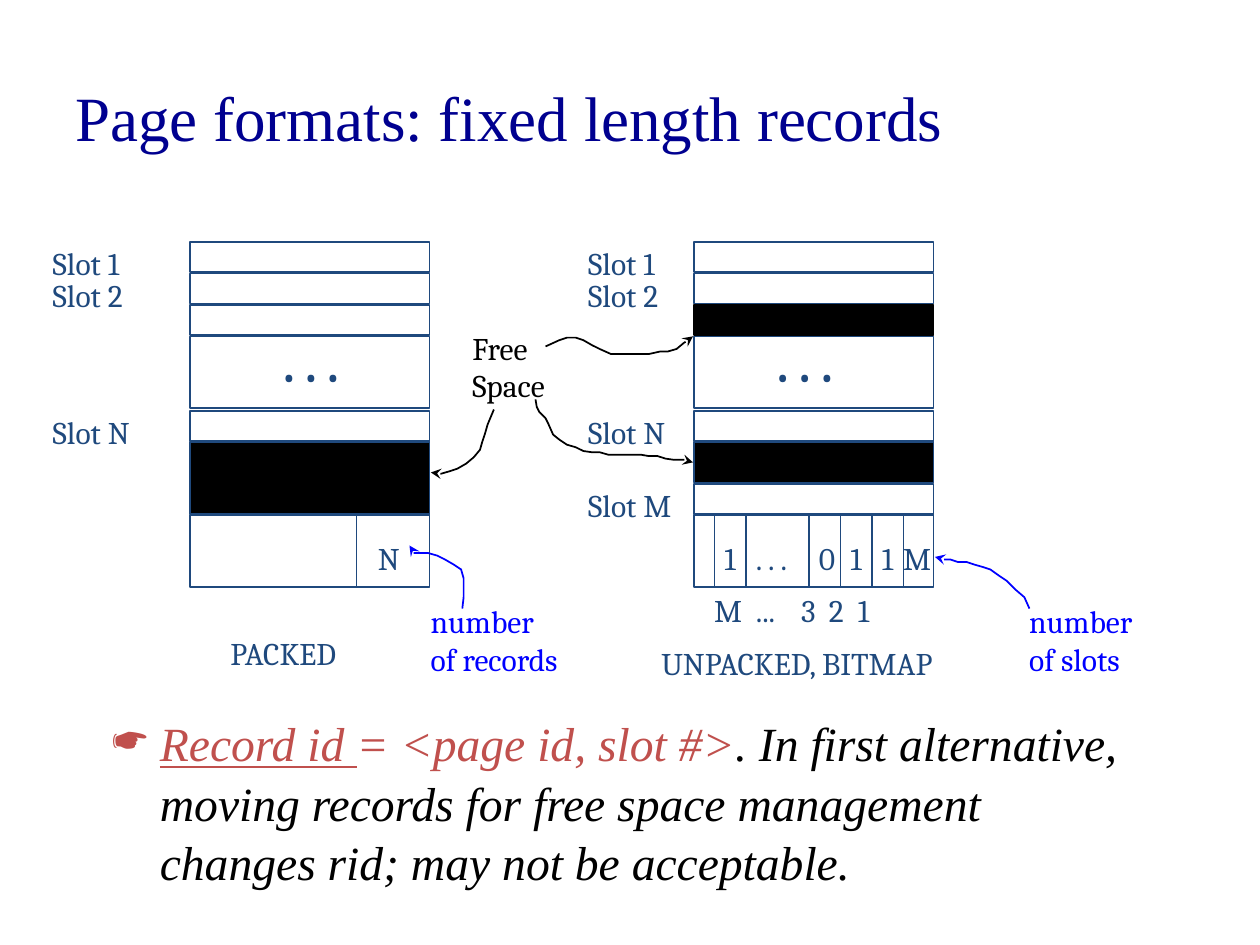
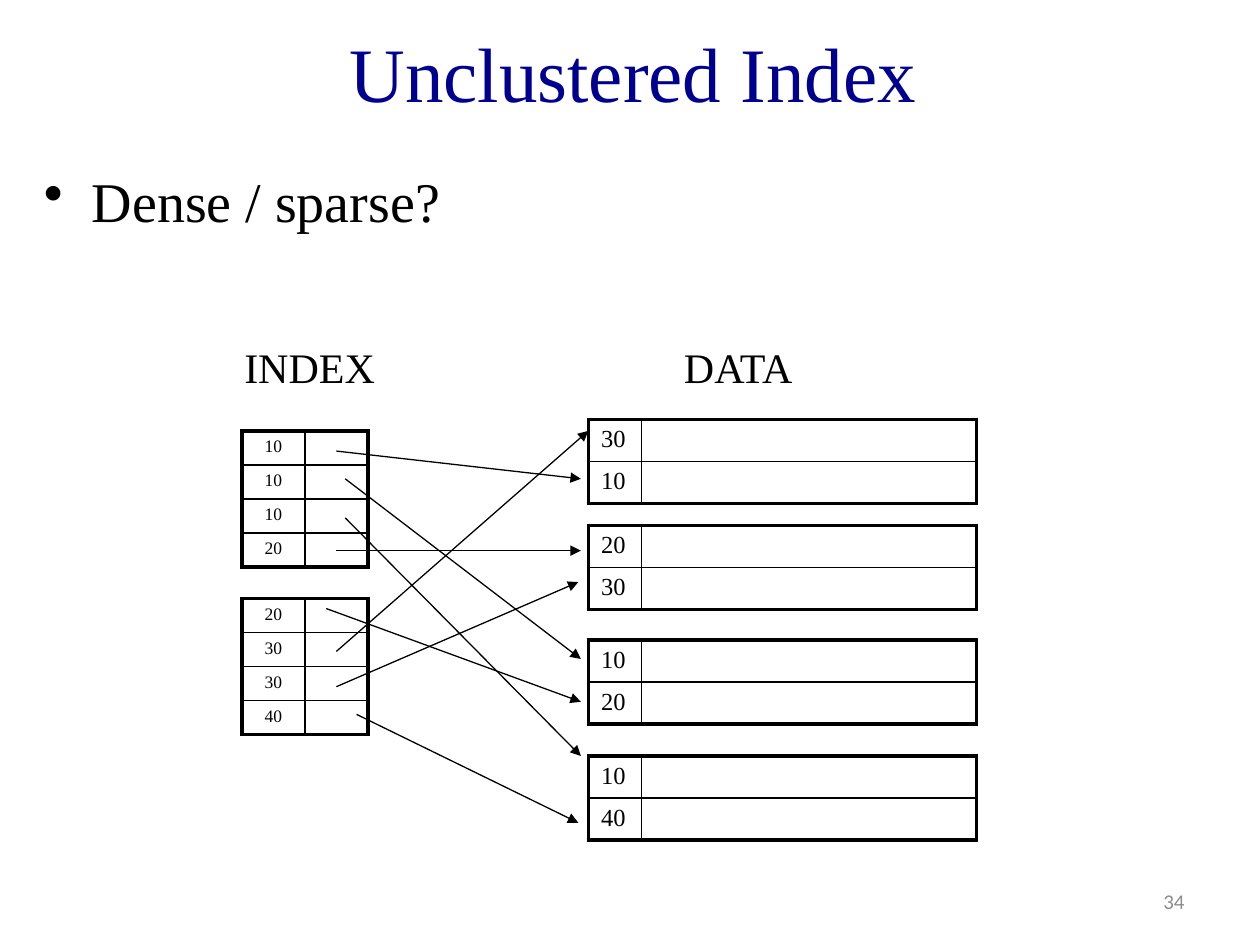
from dataclasses import dataclass
from lxml.etree import SubElement as Sub
from pptx import Presentation
from pptx.dml.color import RGBColor as Rgb
from pptx.enum.shapes import MSO_CONNECTOR as Conn, MSO_SHAPE as Kind
from pptx.enum.text import MSO_ANCHOR as Anchor, MSO_AUTO_SIZE as Auto, PP_ALIGN as Align
from pptx.oxml.ns import qn
from pptx.util import Pt

PX = 9144  # 100 px to the inch


@dataclass(frozen=True)
class Theme:
    navy: str = "000090"
    slate: str = "1F497D"
    blue: str = "0000FF"
    red: str = "C0504D"
    black: str = "000000"
    grey: str = "8C8C8C"
    serif: str = "Times New Roman"
    book: str = "Cambria"
    sans: str = "Calibri"
    thin: float = 0.75
    rule: float = 1
    frame: float = 2.25

    def face(self, size, color, name=None, **more):
        return {"size": Pt(size), "color": color, "name": name or self.serif, **more}


T = Theme()
LABEL = T.face(18, T.slate, T.book)
NOTE = T.face(18, T.blue, T.book)
FREE = T.face(18, T.black, T.book)
DOTS = T.face(28, T.slate, T.book, bold=True)
HEAD = T.face(24, T.black)


def dress(font, fmt):
    for key, value in fmt.items():
        if key == "color":
            font.color.rgb = Rgb.from_string(value)
        else:
            setattr(font, key, value)


def write(par, words, fmt):
    run = par.add_run()
    run.text = words
    dress(run.font, fmt)


def frame(slide, box, **opts):
    """Add a text box at box (x, y, w, h) and return its text frame."""
    tf = slide.shapes.add_textbox(*(v * PX for v in box)).text_frame
    for key, value in {"word_wrap": True, **opts}.items():
        setattr(tf, key, value)
    return tf


def text(slide, box, words, fmt, align=Align.LEFT, **opts):
    tf = frame(slide, box, **opts)
    for i, line in enumerate(words.split("\n")):
        par = tf.add_paragraph() if i else tf.paragraphs[0]
        par.alignment = align
        write(par, line, fmt)
    return tf


def tag(slide, box, words, fmt=LABEL):
    """Add a label that keeps its text on one line."""
    return text(slide, box, words, fmt, word_wrap=False, auto_size=Auto.SHAPE_TO_FIT_TEXT)


def title(slide, box, words, size, align=Align.LEFT):
    text(slide, box, words, T.face(size, T.navy), align, vertical_anchor=Anchor.MIDDLE)


def bullet(slide, box, mark, runs, space=1.0):
    par = frame(slide, box).paragraphs[0]
    par.line_spacing = space
    props = par._p.get_or_add_pPr()
    props.set("marL", str(38 * PX))
    props.set("indent", str(-38 * PX))
    Sub(props, qn("a:buChar"), char=mark)
    for words, fmt in runs:
        write(par, words, fmt)


def stroke(shape, color, width, tip=None):
    shape.line.color.rgb = Rgb.from_string(color)
    shape.line.width = Pt(width)
    if tip:
        Sub(shape.line._get_or_add_ln(), qn("a:tailEnd"), type=tip)


def line(slide, start, end, color, width, tip=None):
    ends = (v * PX for v in (*start, *end))
    link = slide.shapes.add_connector(Conn.STRAIGHT, *ends)
    stroke(link, color, width, tip)
    Sub(link._element.spPr, qn("a:effectLst"))


def curve(slide, points, color):
    """Draw an open hand-drawn arrow through the points."""
    pen = slide.shapes.build_freeform(*points[0], scale=PX)
    pen.add_line_segments(points[1:], close=False)
    shape = pen.convert_to_shape()
    shape.shadow.inherit = False
    shape.fill.background()
    stroke(shape, color, T.rule, "stealth")


def band(slide, box, fill, edge):
    shape = slide.shapes.add_shape(Kind.RECTANGLE, *(v * PX for v in box))
    shape.shadow.inherit = False
    if fill:
        shape.fill.solid()
        shape.fill.fore_color.rgb = Rgb.from_string(fill)
    else:
        shape.fill.background()
    stroke(shape, edge, T.rule)


def page(slide, x, y, bands, slots, side, dots, cuts, marks):
    """Draw a disk page: its bands, slot names, and the directory cells at its foot."""
    for top, high, fill, edge in bands:
        band(slide, (x, y + top, 190, high), fill, edge)
    for top, name, wide in slots:
        tag(slide, (x + side, y + top - 3, wide, 40), name)
    tag(slide, (x + dots, y + 68, 68, 56), ". . .", DOTS)
    for cut in cuts:
        line(slide, (x + cut, y + 216), (x + cut, y + 275), T.slate, T.rule)
    for left, mark, wide in marks:
        tag(slide, (x + left, y + 231, wide, 40), mark)


def plain(*spans):
    return [(top, high, None, T.slate) for top, high in spans]


SHARED = plain((0, 24), (25, 24), (75, 57), (134, 24), (217, 57))
SLOTS = [(0, "Slot 1", 81), (25, "Slot 2", 81), (134, "Slot N", 89)]


def packed(slide, x, y):
    bands = SHARED + plain((50, 24)) + [(159, 57, T.black, T.slate)]
    page(slide, x, y, bands, SLOTS, -119, 64, [132], [(139, "N", 41)])
    tag(slide, (x + 22, y + 306, 125, 40), "PACKED")


def bitmap(slide, x, y):
    bands = SHARED + plain((192, 24)) + [
        (50, 24, T.black, T.black), (159, 32, T.black, T.slate)]
    cuts = [16, 41, 91, 116, 141, 166]
    marks = [(cut - 2, bit, 51 if "." in bit else 32)
             for cut, bit in zip(cuts, ["1", ". . .", "0", "1", "1"])]
    slots = SLOTS + [(192, "Slot M", 92)]
    page(slide, x, y, bands, slots, -94, 56, cuts, marks + [(156, "M", 43)])
    tf = tag(slide, (x + 6, y + 272, 162, 40), "M\t...\t3\t2\t1")
    stops = Sub(tf.paragraphs[0]._p.get_or_add_pPr(), qn("a:tabLst"))
    for stop in (33, 69, 91, 114):
        Sub(stops, qn("a:tab"), pos=str(stop * PX), algn="l")
    tag(slide, (x - 36, y + 314, 275, 40), "UNPACKED, BITMAP")


def callout(slide, x, y, wide, words, fmt, *trails):
    """Add a two-line note and the arrows that leave it."""
    tag(slide, (x, y, wide, 70), words, fmt)
    for trail in trails:
        curve(slide, [(x + dx, y + dy) for dx, dy in trail], fmt["color"])


TO_HOLE = [(68, 19), (79, 14), (85, 12), (92, 12), (98, 14), (105, 18), (111, 21),
           (120, 25), (150, 25), (159, 23), (165, 23), (172, 21), (178, 16),
           (185, 12), (185, 11)]
TO_GAP = [(60, 61), (61, 67), (63, 71), (68, 76), (70, 80), (74, 89), (79, 93),
          (85, 97), (92, 99), (98, 102), (105, 103), (111, 103), (118, 105),
          (144, 105), (150, 106), (157, 106), (163, 108), (170, 109), (183, 109),
          (185, 111)]
TO_TAIL = [(27, 69), (22, 81), (20, 88), (18, 94), (16, 101), (11, 107), (5, 112),
           (-2, 116), (-8, 118), (-15, 120), (-21, 120), (-23, 119)]
TO_COUNT = [(35, 10), (36, 1), (36, -14), (34, -21), (28, -25), (21, -29), (15, -32),
            (8, -34), (-5, -34), (-7, -40)]
TO_SIZE = [(10, 10), (6, 1), (-1, -5), (-8, -12), (-14, -16), (-21, -21), (-27, -23),
           (-34, -25), (-40, -27), (-47, -27), (-53, -29), (-60, -29), (-65, -31)]


def formats(slide):
    title(slide, (50, 30, 900, 125), "Page formats: fixed length records", 36)
    packed(slide, 151, 192)
    bitmap(slide, 551, 192)
    callout(slide, 365, 256, 84, "Free\nSpace", FREE, TO_HOLE, TO_GAP, TO_TAIL)
    callout(slide, 332, 473, 130, "number\nof records", NOTE, TO_COUNT)
    callout(slide, 807, 473, 107, "number\nof slots", NOTE, TO_SIZE)
    red = T.face(27.2, T.red, italic=True)
    bullet(slide, (79, 560, 842, 158), "☛", [
        ("Record id ", {**red, "underline": True}),
        ("= <page id, slot #>", red),
        (". In first alternative, moving records for free space management "
         "changes rid; may not be acceptable.", {**red, "color": T.black}),
    ], 1.04)


def edge(cell, sides):
    """Give the cell its borders, as (side, width) in schema order, and no fill."""
    props = cell._tc.get_or_add_tcPr()
    for side, width in sides:
        ln = Sub(props, qn("a:ln" + side), w=str(Pt(width)))
        Sub(Sub(ln, qn("a:solidFill")), qn("a:srgbClr"), val=T.black)
    cell.fill.background()


def block(slide, x, y, keys, widths, high, size, align):
    """Draw a block of keyed rows with a heavy outer frame."""
    count = len(keys)
    box = (x, y, sum(widths), high * count)
    grid = slide.shapes.add_table(count, 2, *(v * PX for v in box)).table
    grid.first_row = grid.horz_banding = False
    for col, wide in zip(grid.columns, widths):
        col.width = wide * PX
    for r, key in enumerate(keys):
        grid.rows[r].height = high * PX
        for c in range(2):
            cell = grid.cell(r, c)
            outer = {"L": c == 0, "R": c == 1, "T": r == 0, "B": r == count - 1}
            edge(cell, [(s, T.frame if out else T.rule) for s, out in outer.items()])
        par = grid.cell(r, 0).text_frame.paragraphs[0]
        par.alignment = align
        write(par, key, T.face(size, T.black))
        blank = grid.cell(r, 1).text_frame.paragraphs[0]._p
        Sub(blank, qn("a:endParaRPr"), sz=str(size * 100))


def index(slide, x, y):
    tag(slide, (x - 8, y - 76, 125, 51), "INDEX", HEAD)
    for top, keys in [(0, "10 10 10 20"), (133, "20 30 30 40")]:
        block(slide, x, y + top, keys.split(), (50, 50), 27, 10, Align.CENTER)


def data(slide, x, y):
    tag(slide, (x + 66, y - 67, 107, 50), "DATA", HEAD)
    for top, keys in [(0, "30 10"), (84, "20 30"), (175, "10 20"), (267, "10 40")]:
        block(slide, x, y + top, keys.split(), (42, 266), 33, 14, Align.LEFT)


def links(slide, x, y):
    """Point from the index entries to the data rows; x, y is the index corner."""
    for a, b, c, d in [(75, 16, 269, 38), (82, 38, 269, 181), (82, 69, 269, 258),
                       (75, 95, 269, 95), (67, 141, 269, 215), (75, 175, 275, 0),
                       (75, 203, 267, 120), (91, 225, 267, 311)]:
        line(slide, (x + a, y + b), (x + c, y + d), T.black, T.thin, "triangle")


def unclustered(slide):
    title(slide, (25, 5, 955, 104), "Unclustered Index", 44, Align.CENTER)
    bullet(slide, (25, 127, 955, 608), "•", [("Dense / sparse?", T.face(32, T.black))])
    index(slide, 192, 342)
    data(slide, 467, 333)
    links(slide, 192, 342)
    text(slide, (717, 695, 233, 40), "34", T.face(12, T.grey, T.sans), Align.RIGHT,
         vertical_anchor=Anchor.MIDDLE)


def main():
    deck = Presentation()
    deck.slide_width, deck.slide_height = 1000 * PX, 750 * PX
    for draw in (formats, unclustered):
        draw(deck.slides.add_slide(deck.slide_layouts[6]))
    deck.save("out.pptx")


if __name__ == "__main__":
    main()
